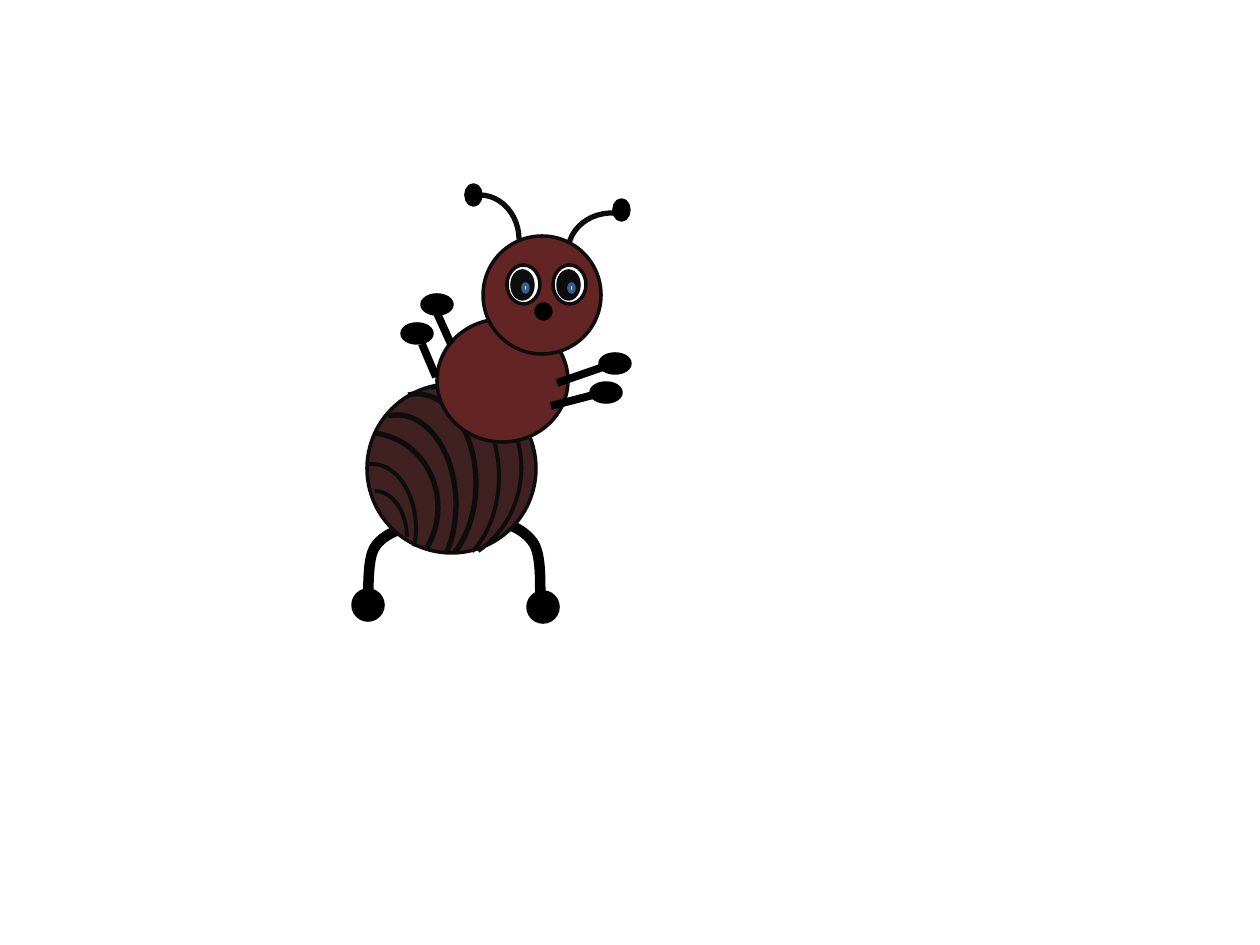
from typing import NamedTuple

from pptx import Presentation
from pptx.dml.color import RGBColor
from pptx.enum.shapes import MSO_CONNECTOR, MSO_SHAPE
from pptx.oxml.ns import qn
from pptx.util import Inches, Pt
from lxml import etree

PX = 914400 / 126  # EMU per px
OVAL, ARC, STRAIGHT = MSO_SHAPE.OVAL, MSO_SHAPE.ARC, MSO_CONNECTOR.STRAIGHT
BLACK, INK, WHITE = "000000", "0D0D0D", "FFFFFF"
RED, BROWN, BLUE = "632523", "3F2121", "3A5F8C"
CURVE_STEPS = 16


class Box(NamedTuple):
    left: int
    top: int
    width: int
    height: int


class Arc(NamedTuple):
    box: Box
    weight: float
    start: float = 162  # in units of 100000/60000 degree
    end: float = 0
    rotation: float = 0


class Arm(NamedTuple):
    start: tuple[int, int]
    end: tuple[int, int]
    hand: tuple[int, int]


def emu(px: float) -> int:
    return round(px * PX)


def rgb(value: str) -> RGBColor:
    return RGBColor.from_string(value)


def outline(shape, color: str, weight: float) -> None:
    shape.line.color.rgb = rgb(color)
    shape.line.width = Pt(weight)


def add_oval(shapes, box: Box, fill: str = BLACK, line: str = BLACK) -> None:
    oval = shapes.add_shape(OVAL, *map(emu, box))
    oval.shadow.inherit = False
    oval.fill.solid()
    oval.fill.fore_color.rgb = rgb(fill)
    outline(oval, line, 2)


def add_arc(shapes, arc: Arc) -> None:
    curve = shapes.add_shape(ARC, *map(emu, arc.box))
    curve.shadow.inherit = False
    curve.fill.background()
    curve.adjustments[0] = arc.start
    curve.adjustments[1] = arc.end
    curve.rotation = arc.rotation
    outline(curve, INK, arc.weight)


def bezier(points, t: float) -> tuple[int, int]:
    weights = ((1 - t) ** 3, 3 * t * (1 - t) ** 2, 3 * t * t * (1 - t), t ** 3)
    x, y = (sum(w * p[axis] for w, p in zip(weights, points)) for axis in (0, 1))
    return emu(x), emu(y)


def add_leg(shapes, points: list[tuple[int, int]]) -> None:
    """Draw chained cubic curves; neighbours share an end point."""
    vertices = [bezier(points[first:first + 4], step / CURVE_STEPS)
                for first in range(0, len(points) - 1, 3)
                for step in range(1, CURVE_STEPS + 1)]
    builder = shapes.build_freeform(*map(emu, points[0]))
    builder.add_line_segments(vertices, close=False)
    leg = builder.convert_to_shape()
    leg.shadow.inherit = False
    leg.fill.background()
    outline(leg, BLACK, 6)


def add_eye(shapes, left: int, top: int) -> None:
    add_oval(shapes, Box(left, top, 33, 39), WHITE, INK)
    add_oval(shapes, Box(left + 5, top + 6, 21, 28), INK, INK)
    add_oval(shapes, Box(left + 16, top + 19, 5, 8), WHITE, BLUE)


def add_arm(shapes, arm: Arm) -> None:
    add_oval(shapes, Box(*arm.hand, 30, 19))
    limb = shapes.add_connector(STRAIGHT, *map(emu, arm.start + arm.end))
    outline(limb, BLACK, 4.5)
    etree.SubElement(limb._element.spPr, qn("a:effectLst"))


LEGS = [
    [(422, 523), (403, 528), (384, 533), (375, 547),
     (367, 559), (369, 591), (368, 600)],
    [(474, 514), (496, 520), (520, 525), (532, 541),
     (543, 554), (539, 590), (541, 600)],
]
STRIPES = [
    Arc(Box(338, 415, 118, 179), 3, 158.55, 26.74),
    Arc(Box(358, 394, 118, 179), 3, 158.55, 36.8),
    Arc(Box(381, 387, 118, 179), 2.25, 158.55, 40.09),
    Arc(Box(328, 464, 88, 129), 2.25, 158.88, 13.82),
    Arc(Box(343, 491, 64, 92), 2.25),
    Arc(Box(299, 433, 139, 149), 3, 165.52, 21.66),
    Arc(Box(314, 364, 208, 205), 2.25, 163.36, 7.45, 42.1),
]
ANTENNAE = [
    Arc(Box(440, 195, 79, 89), 3),
    Arc(Box(573, 208, 79, 89), 3, rotation=273.2),
]
ARMS = [
    Arm((557, 383), (612, 364), (600, 354)),
    Arm((436, 311), (451, 344), (422, 295)),
    Arm((422, 344), (436, 377), (402, 324)),
    Arm((551, 406), (601, 393), (591, 383)),
]
EYES = [(553, 265), (507, 265)]
FEET = [(528, 592), (353, 590)]
ANTENNA_TIPS = [(466, 185), (614, 200)]


def main() -> None:
    prs = Presentation()
    prs.slide_width, prs.slide_height = Inches(10), Inches(7.5)
    shapes = prs.slides.add_slide(prs.slide_layouts[6]).shapes

    # Legs and striped abdomen
    for leg in LEGS:
        add_leg(shapes, leg)
    add_oval(shapes, Box(367, 384, 169, 169), BROWN, INK)
    for arc in STRIPES + ANTENNAE:
        add_arc(shapes, arc)

    # Thorax, head and eyes
    add_oval(shapes, Box(437, 319, 131, 123), RED, INK)
    add_oval(shapes, Box(483, 236, 118, 118), RED, INK)
    for eye in EYES:
        add_eye(shapes, *eye)

    # Arms, feet, mouth and antenna tips
    for arm in ARMS:
        add_arm(shapes, arm)
    for foot in FEET:
        add_oval(shapes, Box(*foot, 30, 30))
    add_oval(shapes, Box(536, 304, 15, 15))
    for tip in ANTENNA_TIPS:
        add_oval(shapes, Box(*tip, 15, 20))

    prs.save("out.pptx")


if __name__ == "__main__":
    main()
